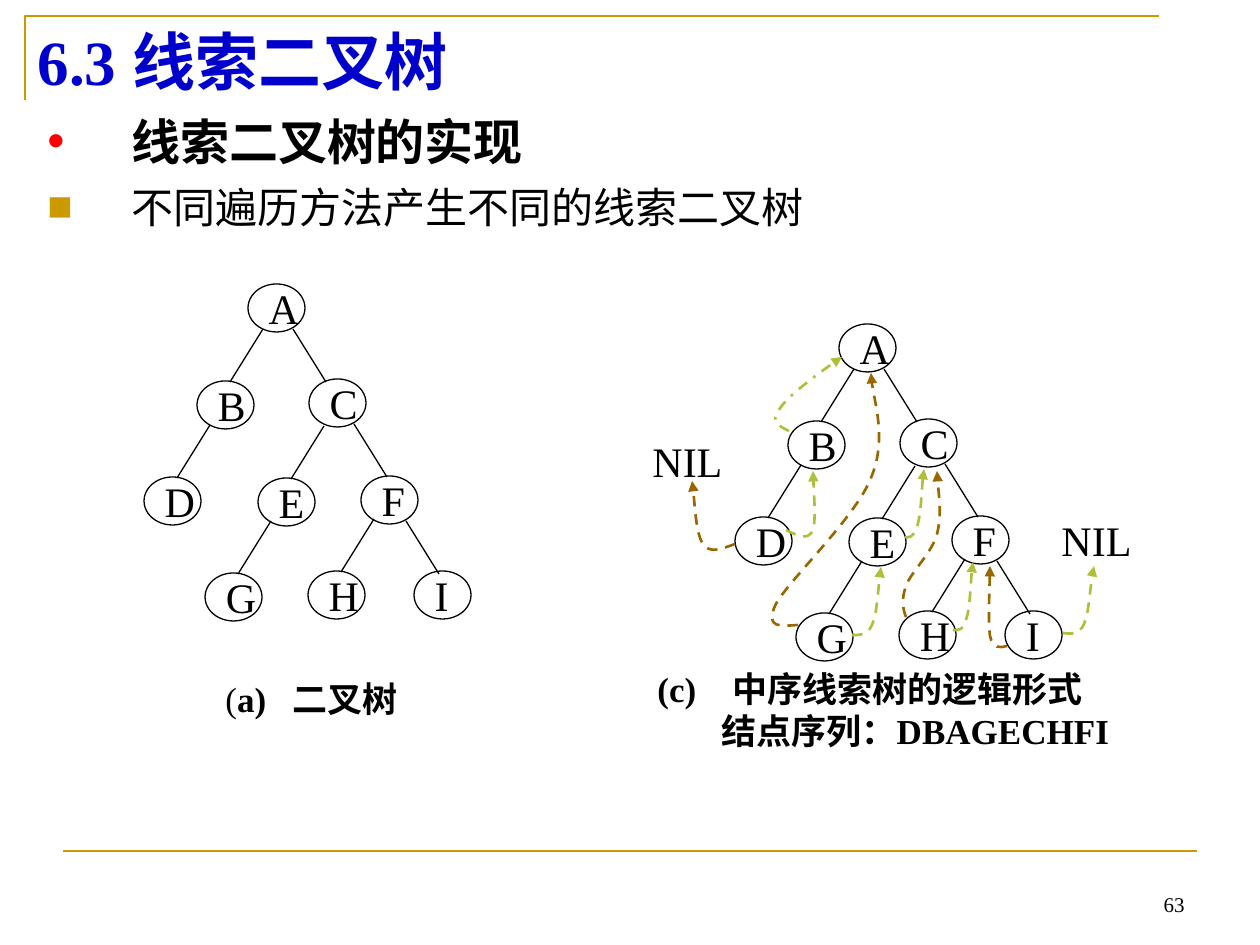
from lxml import etree
from pptx import Presentation
from pptx import util as u
from pptx.dml.color import RGBColor
from pptx.enum import dml, shapes, text
from pptx.oxml.ns import qn

PX = 914400 / 126
LATIN, CHINESE = "Times New Roman", "Noto Sans CJK SC"
COLORS = {"black": "000000", "title": "0000CC", "gold": "CC9900", "red": "FF0000",
          "predecessor": "996600", "successor": "AFBF39"}
MIDDLE = text.MSO_ANCHOR.MIDDLE
DASH, DASH_DOT = dml.MSO_LINE.DASH, dml.MSO_LINE.DASH_DOT

NODE_SIZE = (57, 48)
NODES = {"A": (248, 284), "B": (197, 381), "C": (309, 379),
         "D": (144, 477), "E": (258, 478), "F": (361, 476),
         "G": (205, 573), "H": (308, 571), "I": (414, 571)}
LEFT_CHILDREN = {"A": "B", "B": "D", "C": "E", "E": "G", "F": "H"}
RIGHT_CHILDREN = {"A": "C", "C": "F", "F": "I"}
EDGE_WIDTH, EDGE_HEIGHT = 33, 53
THREADED_OFFSET = (591, 40)

# Each thread: start point, then two control points and an end point per curve.
THREADS = [
    ("successor", DASH_DOT, [(789, 431), (779, 426), (770, 422), (779, 410),
                             (786, 397), (830, 365), (842, 357)]),
    ("successor", DASH, [(786, 530), (798, 536), (808, 541), (813, 530),
                         (816, 520), (813, 480), (813, 471)]),
    ("predecessor", DASH, [(798, 625), (781, 626), (764, 629), (776, 604),
                           (789, 580), (856, 517), (871, 478),
                           (887, 440), (871, 391), (871, 373)]),
    ("successor", DASH, [(852, 635), (859, 635), (867, 636), (872, 625),
                         (877, 614), (879, 577), (881, 567)]),
    ("successor", DASH, [(905, 537), (908, 538), (913, 538), (917, 527),
                         (921, 515), (922, 479), (924, 469)]),
    ("predecessor", DASH, [(906, 617), (903, 609), (901, 600), (906, 586),
                           (911, 572), (932, 553), (937, 534),
                           (942, 514), (937, 481), (937, 471)]),
    ("predecessor", DASH, [(735, 544), (722, 549), (709, 554), (703, 544),
                           (696, 534), (694, 491), (692, 481)]),
    ("successor", DASH, [(953, 630), (958, 630), (963, 631), (966, 620),
                         (970, 609), (971, 572), (973, 562)]),
    ("predecessor", DASH, [(1007, 646), (1000, 648), (993, 649), (990, 636),
                           (988, 622), (990, 577), (990, 566)]),
    ("successor", DASH, [(1063, 633), (1071, 634), (1079, 635), (1084, 624),
                         (1089, 612), (1091, 575), (1094, 566)]),
]


def px(*lengths):
    return [u.Emu(round(length * PX)) for length in lengths]


def rgb(name):
    return RGBColor.from_string(COLORS[name])


def format_para(para, size, color="black", bold=False, latin=LATIN):
    font = para.font
    font.size, font.bold, font.name = u.Pt(size), bold, latin
    font.color.rgb = rgb(color)
    defaults = para._p.pPr.find(qn("a:defRPr"))
    etree.SubElement(defaults, qn("a:ea"), typeface=CHINESE)


def set_indent(para, left, hanging=0):
    properties = para._p.get_or_add_pPr()
    properties.set("marL", str(px(left)[0]))
    properties.set("indent", str(px(-hanging)[0]))
    return properties


def add_bullet(para, char, color):
    properties = set_indent(para, 84, 84)
    fill = etree.SubElement(properties, qn("a:buClr"))
    etree.SubElement(fill, qn("a:srgbClr"), val=COLORS[color])
    etree.SubElement(properties, qn("a:buFont"), typeface="Arial")
    etree.SubElement(properties, qn("a:buChar"), char=char)


def add_box(page, bounds, anchor=MIDDLE):
    frame = page.shapes.add_textbox(*px(*bounds)).text_frame
    frame.word_wrap, frame.vertical_anchor = True, anchor
    return frame


def add_label(page, bounds, words, size):
    para = add_box(page, bounds).paragraphs[0]
    para.text = words
    format_para(para, size)


def add_line(page, start, end, color="black", width=0.75):
    line = page.shapes.add_connector(shapes.MSO_CONNECTOR.STRAIGHT, *px(*start, *end))
    line.line.color.rgb, line.line.width = rgb(color), u.Pt(width)
    etree.SubElement(line._element.spPr, qn("a:effectLst"))


def add_outline(page, points, color):
    builder = page.shapes.build_freeform(*points[0], scale=PX)
    builder.add_line_segments(points[1:], close=False)
    outline = builder.convert_to_shape()
    outline.shadow.inherit = False
    outline.fill.background()
    outline.line.color.rgb, outline.line.width = rgb(color), u.Pt(1.5)
    return outline


def add_thread(page, color, dash, points):
    """Draw a dashed arrow, joining every three segments into one Bezier curve."""
    thread = add_outline(page, points, color)
    thread.line.dash_style = dash
    etree.SubElement(thread.line._get_or_add_ln(), qn("a:tailEnd"), type="triangle")
    outline = next(thread._element.iter(qn("a:path")))
    segments = outline.findall(qn("a:lnTo"))
    for first in range(0, len(segments), 3):
        curve = etree.SubElement(outline, qn("a:cubicBezTo"))
        for segment in segments[first:first + 3]:
            curve.append(segment[0])
            outline.remove(segment)


def add_node(page, letter, x, y):
    node = page.shapes.add_shape(shapes.MSO_SHAPE.OVAL, *px(x, y, *NODE_SIZE))
    node.shadow.inherit = False
    node.fill.background()
    node.line.color.rgb, node.line.width = rgb("black"), u.Pt(0.75)
    frame = node.text_frame
    frame.word_wrap, frame.vertical_anchor = False, MIDDLE
    para = frame.paragraphs[0]
    para.text, para.alignment = letter, text.PP_ALIGN.LEFT
    format_para(para, 24)


def add_tree(page, offset=(0, 0)):
    places = {letter: (x + offset[0], y + offset[1]) for letter, (x, y) in NODES.items()}
    for letter, place in places.items():
        add_node(page, letter, *place)
    for child in LEFT_CHILDREN.values():
        x, y = places[child][0] + 33, places[child][1] + 1
        add_line(page, (x + EDGE_WIDTH, y - EDGE_HEIGHT), (x, y))
    for parent in RIGHT_CHILDREN:
        x, y = places[parent][0] + 45, places[parent][1] + 45
        add_line(page, (x, y), (x + EDGE_WIDTH, y + EDGE_HEIGHT))


def add_title(page):
    title = page.shapes.title
    title.left, title.top, title.width, title.height = px(25, 15, 1134, 90)
    frame = title.text_frame
    frame.vertical_anchor, frame.auto_size = MIDDLE, text.MSO_AUTO_SIZE.NONE
    para = frame.paragraphs[0]
    para.text, para.alignment = "6.3 线索二叉树", text.PP_ALIGN.LEFT
    format_para(para, 36, "title", True)


def add_topics(page):
    frame = add_box(page, (35, 101, 1171, 150), anchor=text.MSO_ANCHOR.TOP)
    heading, point = frame.paragraphs[0], frame.add_paragraph()
    heading.text, point.text = "线索二叉树的实现", "不同遍历方法产生不同的线索二叉树"
    heading.line_spacing, point.line_spacing = u.Pt(36), u.Pt(29)
    point.space_before = u.Pt(6)
    add_bullet(heading, "•", "red")
    add_bullet(point, "■", "gold")
    format_para(heading, 28, bold=True, latin=CHINESE)
    format_para(point, 24, latin=CHINESE)


def add_captions(page):
    plain = add_box(page, (213, 674, 230, 49)).paragraphs[0]
    for words in ("(", "a)\t二叉树"):
        plain.add_run().text = words
    plain.runs[0].font.bold = False
    set_indent(plain, 67, 67)

    frame = add_box(page, (645, 669, 520, 80))
    name, sequence = frame.paragraphs[0], frame.add_paragraph()
    name.text, sequence.text = "(c)\t中序线索树的逻辑形式", "结点序列：DBAGECHFI"
    set_indent(name, 75, 75)
    set_indent(sequence, 64)
    for para in (plain, name, sequence):
        para.line_spacing = u.Pt(24)
        format_para(para, 20, bold=True)


def add_page_number(page):
    frame = add_box(page, (903, 860, 294, 63), anchor=text.MSO_ANCHOR.BOTTOM)
    para = frame.paragraphs[0]
    para.text, para.alignment = "63", text.PP_ALIGN.RIGHT
    format_para(para, 12)


def main():
    deck = Presentation()
    deck.slide_width, deck.slide_height = px(1260, 945)
    page = deck.slides.add_slide(deck.slide_layouts[5])
    add_outline(page, [(25, 100), (25, 16), (1159, 16)], "gold")
    add_line(page, (63, 851), (1197, 851), "gold", 1.5)
    add_page_number(page)
    add_topics(page)
    add_title(page)
    add_tree(page)
    add_tree(page, THREADED_OFFSET)
    for thread in THREADS:
        add_thread(page, *thread)
    for x, y in ((640, 436), (1049, 515)):
        add_label(page, (x, y, 105, 49), "NIL", 24)
    add_captions(page)
    deck.save("out.pptx")


if __name__ == "__main__":
    main()
